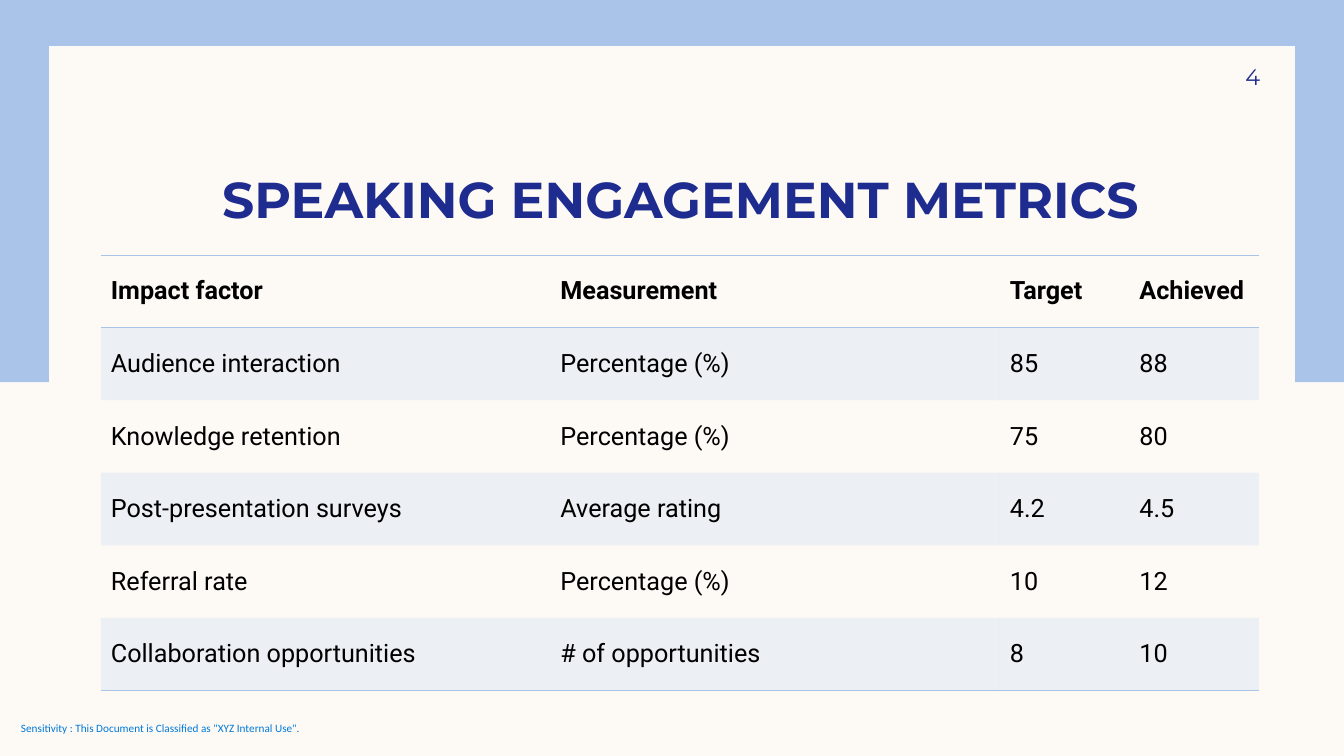
from pptx import Presentation
from pptx.dml.color import RGBColor
from pptx.enum.shapes import MSO_SHAPE
from pptx.enum.text import MSO_ANCHOR, PP_ALIGN
from pptx.oxml.ns import qn
from pptx.util import Pt
from lxml import etree

RECT = MSO_SHAPE.RECTANGLE
LEFT, MID, RIGHT = PP_ALIGN.LEFT, PP_ALIGN.CENTER, PP_ALIGN.RIGHT
TOP, CENTER, BASE = MSO_ANCHOR.TOP, MSO_ANCHOR.MIDDLE, MSO_ANCHOR.BOTTOM
SKY, CREAM, NAVY, BLUE, BLACK = "AAC3E8", "FDFAF6", "1F2C8F", "0078D7", "000000"
COLS = [321.1, 321.1, 92.5, 92.5]
ROW = 51.84
DATA = [
    ["Impact factor", "Measurement", "Target", "Achieved"],
    ["Audience interaction", "Percentage (%)", "85", "88"],
    ["Knowledge retention", "Percentage (%)", "75", "80"],
    ["Post-presentation surveys", "Average rating", "4.2", "4.5"],
    ["Referral rate", "Percentage (%)", "10", "12"],
    ["Collaboration opportunities", "# of opportunities", "8", "10"],
]
RULES = {0, 1, len(DATA)}


def paint(fill, tone):
    fill.solid()
    fill.fore_color.rgb = RGBColor.from_string(tone)


class Deck:
    """Holds the style and the current slide."""

    def __init__(self, wide, high):
        self.prs = Presentation()
        self.prs.slide_width, self.prs.slide_height = Pt(wide), Pt(high)
        self.slide = self.prs.slides.add_slide(self.prs.slide_layouts[5])
        paint(self.slide.background.fill, CREAM)

    def panel(self, spot, tone):
        box = self.slide.shapes.add_shape(RECT, *map(Pt, spot))
        box.shadow.inherit = False
        paint(box.fill, tone)
        box.line.fill.background()

    def letter(self, frame, text, face, size, tone, bold=False, align=LEFT):
        para = frame.paragraphs[0]
        para.alignment = align
        run = para.add_run()
        run.text = text
        form = {"name": face, "size": Pt(size), "bold": bold}
        for key, value in form.items():
            setattr(run.font, key, value)
        paint(run.font.fill, tone)

    def fit(self, frame, anchor, pads):
        sides = ("left", "top", "right", "bottom")
        form = {"margin_" + side: Pt(pad) for side, pad in zip(sides, pads)}
        form.update(word_wrap=True, vertical_anchor=anchor)
        for key, value in form.items():
            setattr(frame, key, value)

    def title(self, spot, text):
        box = self.slide.shapes.title
        box.element.getparent().append(box.element)
        for key, value in zip(("left", "top", "width", "height"), spot):
            setattr(box, key, Pt(value))
        self.fit(box.text_frame, BASE, (7.2, 0, 7.2, 0))
        self.letter(box.text_frame, text, "Montserrat", 36, NAVY, True, MID)

    def label(self, spot, text, anchor, pads, *style, **more):
        frame = self.slide.shapes.add_textbox(*map(Pt, spot)).text_frame
        self.fit(frame, anchor, pads)
        self.letter(frame, text, *style, **more)

    def edge(self, cell, row):
        props = cell._tc.get_or_add_tcPr()
        ruled = {"a:lnT": row in RULES, "a:lnB": row + 1 in RULES}
        for spot, tag in enumerate(("a:lnL", "a:lnR", "a:lnT", "a:lnB")):
            line = etree.Element(qn(tag), w=str(Pt(1)))
            props.insert(spot, line)
            if ruled.get(tag):
                fill = etree.SubElement(line, qn("a:solidFill"))
                etree.SubElement(fill, qn("a:srgbClr"), val=SKY)
            else:
                etree.SubElement(line, qn("a:noFill"))

    def shade(self, cell, band):
        if not band:
            cell.fill.background()
            return
        paint(cell.fill, SKY)
        tone = cell._tc.tcPr.find(".//" + qn("a:srgbClr"))
        etree.SubElement(tone, qn("a:alpha"), val="20000")

    def table(self, left, top, data):
        size = (sum(COLS), ROW * len(data))
        grid = self.slide.shapes.add_table(
            len(data), len(COLS), *map(Pt, (left, top, *size))).table
        grid.first_row = grid.horz_banding = False
        for col, wide in zip(grid.columns, COLS):
            col.width = Pt(wide)
        for row, texts in enumerate(data):
            grid.rows[row].height = Pt(ROW)
            for col, text in enumerate(texts):
                cell = grid.cell(row, col)
                cell.vertical_anchor = CENTER
                self.letter(cell.text_frame, text, "Roboto", 18, BLACK, row == 0)
                self.shade(cell, row % 2)
                self.edge(cell, row)


def main():
    deck = Deck(960, 540)
    deck.label((15, 515.5, 220, 10), 'Sensitivity : This Document is Classified as "XYZ Internal Use".',
               TOP, (0, 0, 0, 0), "Calibri", 8, BLUE)
    deck.panel((0, 0, 960, 273), SKY)
    deck.panel((35, 33, 890, 474.5), CREAM)
    deck.title((72, 83.5, 828, 80), "SPEAKING ENGAGEMENT METRICS")
    deck.table(72, 182.2, DATA)
    deck.label((816, 36, 84, 37.5), "4", CENTER, (7.2, 3.6, 0, 3.6),
               "Montserrat", 16, NAVY, align=RIGHT)
    deck.prs.save("out.pptx")


if __name__ == "__main__":
    main()
